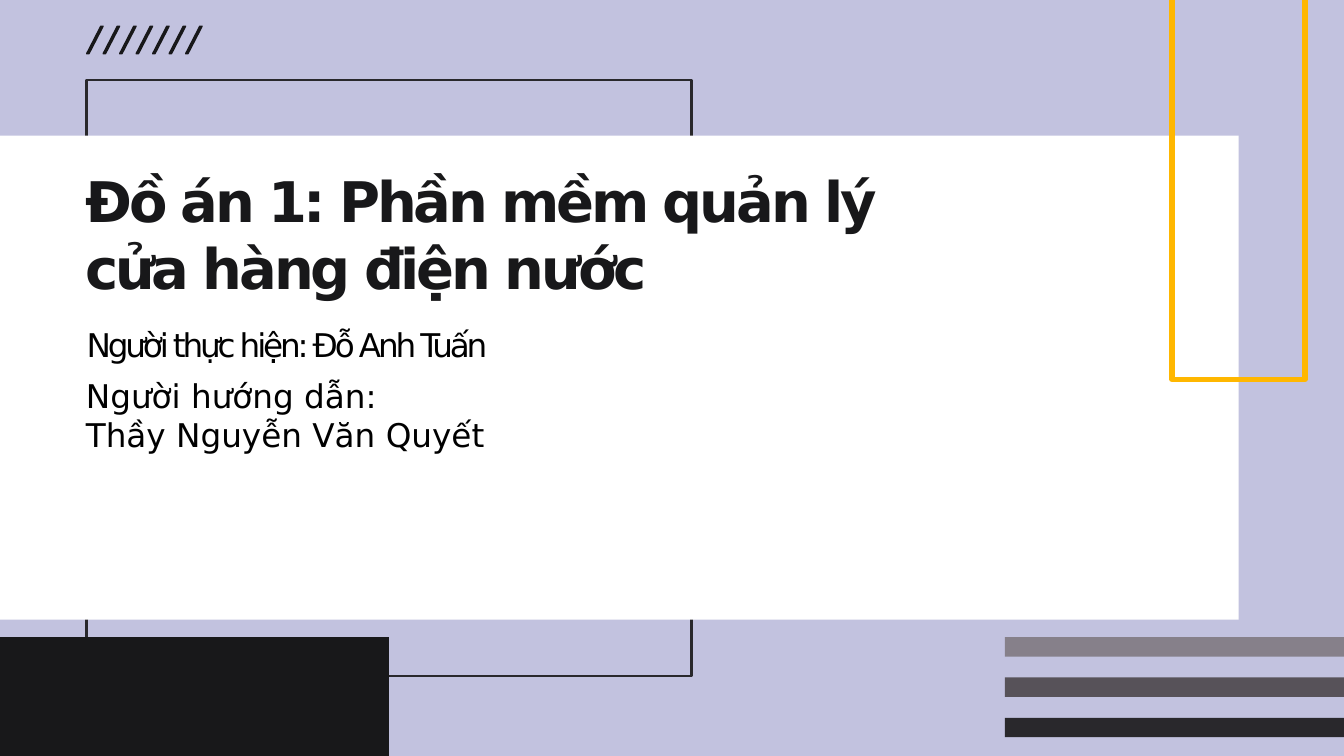
import pptx
import pptx.dml.color
import pptx.enum.shapes
import pptx.enum.text
import pptx.util
from dataclasses import dataclass

Inches = pptx.util.Inches
Pt = pptx.util.Pt


@dataclass(frozen=True)
class Theme:
    lilac: str = "C2C2DF"
    white: str = "FFFFFF"
    black: str = "000000"
    ink: str = "18181A"
    charcoal: str = "29282C"
    slate: str = "575259"
    ash: str = "86808A"
    amber: str = "FFB700"
    font: str = "DejaVu Sans"
    title_size: float = 60
    body_size: float = 35
    tight: float = -3.4


THEME = Theme()
WIDTH, HEIGHT = 20.01, 11.26
MARGIN = 1.29


def color(value):
    return pptx.dml.color.RGBColor.from_string(value)


def paint(shape, fill=None, line=None, weight=0):
    shape.shadow.inherit = False
    if fill:
        shape.fill.solid()
        shape.fill.fore_color.rgb = color(fill)
    else:
        shape.fill.background()
    if line:
        shape.line.color.rgb = color(line)
        shape.line.width = Pt(weight)
    else:
        shape.line.fill.background()


def add_block(page, box, **style):
    block = page.shapes.add_shape(
        pptx.enum.shapes.MSO_SHAPE.RECTANGLE, *map(Inches, box))
    paint(block, **style)


def add_outline(page, points, close, **style):
    start, *rest = [(Inches(x), Inches(y)) for x, y in points]
    builder = page.shapes.build_freeform(*start)
    builder.add_line_segments(rest, close=close)
    paint(builder.convert_to_shape(), **style)


def add_slashes(page, box, count=7, stroke=0.035):
    """Fill the box with evenly spaced slanted strokes."""
    left, top, width, height = box
    pitch = width / count
    for index in range(count):
        start = left + index * pitch
        end = start + pitch
        points = [(start, top + height), (end - stroke, top),
                  (end, top), (start + stroke, top + height)]
        add_outline(page, points, True, fill=THEME.ink, line=THEME.ink, weight=1.47)


def add_open_frame(page, box):
    """Draw a frame without its top side."""
    left, top, width, height = box
    right, bottom = left + width, top + height
    points = [(left, top), (left, bottom), (right, bottom), (right, top)]
    add_outline(page, points, False, line=THEME.amber, weight=6)


def add_bars(page, box, bar_height=0.29):
    left, top, width, height = box
    shades = (THEME.ash, THEME.slate, THEME.charcoal)
    pitch = (height - bar_height) / (len(shades) - 1)
    for index, shade in enumerate(shades):
        add_block(page, (left, top + index * pitch, width, bar_height), fill=shade)


def add_text(page, box, lines, size, ink, bold=False, spacing=0, insets=(0.1, 0.05)):
    frame = page.shapes.add_textbox(*map(Inches, box)).text_frame
    frame.word_wrap = True
    frame.auto_size = pptx.enum.text.MSO_AUTO_SIZE.SHAPE_TO_FIT_TEXT
    frame.margin_left = frame.margin_right = Inches(insets[0])
    frame.margin_top = frame.margin_bottom = Inches(insets[1])
    frame.text = "\n".join(lines)
    for para in frame.paragraphs:
        para.font.name = THEME.font
        para.font.size = Pt(size)
        para.font.bold = bold
        para.font.color.rgb = color(ink)
        if spacing:
            for span in para.runs:
                span.font._element.set("spc", str(round(spacing * 100)))


def add_backdrop(page):
    page.background.fill.solid()
    page.background.fill.fore_color.rgb = color(THEME.lilac)
    add_block(page, (MARGIN, 1.19, 9.01, 8.88), line=THEME.charcoal, weight=3)
    add_block(page, (0, 2.02, 18.44, 7.21), fill=THEME.white)
    add_slashes(page, (MARGIN, 0.39, 1.72, 0.41))


def add_accents(page):
    floor = 9.49
    add_open_frame(page, (17.45, 0, 1.98, 5.65))
    add_block(page, (0, floor, 5.79, HEIGHT - floor), fill=THEME.ink)
    add_bars(page, (14.96, floor, WIDTH - 14.96, 1.49))


def add_headline(page, box):
    left, top, width, height = box
    add_text(page, (left, top, width, 2.03),
             ["Đồ án 1: Phần mềm quản lý cửa hàng điện nước"],
             THEME.title_size, THEME.ink, bold=True, spacing=THEME.tight,
             insets=(0.01, 0.01))
    add_text(page, (left - 0.07, top + 2.32, 10.01, 0.69),
             ["Người thực hiện: Đỗ Anh Tuấn"],
             THEME.body_size, THEME.black, spacing=THEME.tight)
    add_text(page, (left - 0.08, top + 3.08, 10.01, 1.28),
             ["Người hướng dẫn:", "Thầy Nguyễn Văn Quyết"],
             THEME.body_size, THEME.black)


def main():
    deck = pptx.Presentation()
    deck.slide_width, deck.slide_height = Inches(WIDTH), Inches(HEIGHT)
    page = deck.slides.add_slide(deck.slide_layouts[6])
    add_backdrop(page)
    add_accents(page)
    add_headline(page, (1.26, 2.47, 11.81, 4.36))
    deck.save("out.pptx")


if __name__ == "__main__":
    main()
